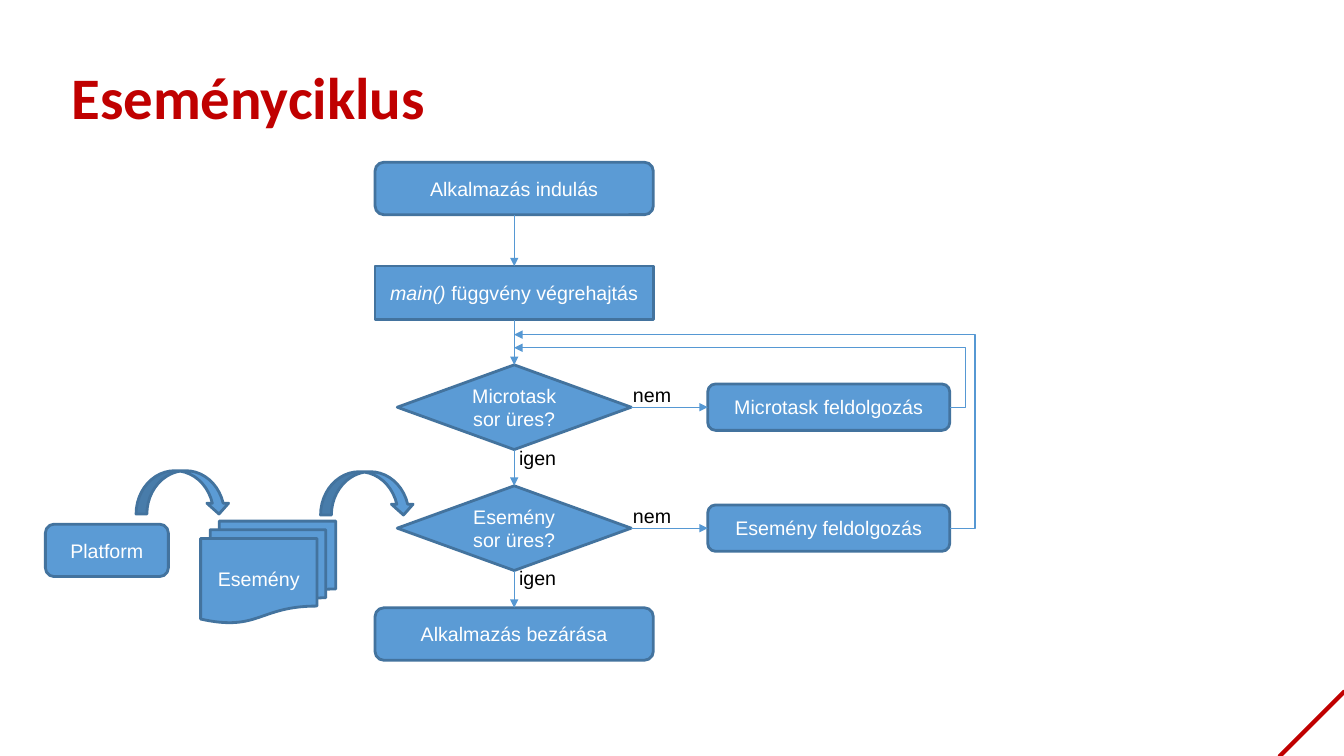
"""Builds the event loop flowchart slide."""
from lxml.etree import SubElement
from pptx import Presentation
from pptx.dml.color import RGBColor
from pptx.enum.shapes import MSO_CONNECTOR as CONNECTOR, MSO_SHAPE as SHAPE
from pptx.enum.text import MSO_ANCHOR as ANCHOR, MSO_AUTO_SIZE as AUTO_SIZE, PP_ALIGN as ALIGN
from pptx.oxml.ns import qn
from pptx.util import Emu, Pt

PX = 9144
WIDTH, HEIGHT = 1333, 750
COLORS = {"red": "C00000", "fill": "5B9BD5", "border": "43739E",
          "arrow": "5698D3", "white": "FFFFFF", "black": "000000"}

TITLE = ("Eseményciklus", (61, 63, 660, 58))
CORNER = (1288, 705, 90, 90)
AXIS = 510
STEPS = {
    "start": (SHAPE.ROUNDED_RECTANGLE, 161, 276, 52, [("Alkalmazás indulás", False)]),
    "main": (SHAPE.RECTANGLE, 264, 276, 53, [("main()", True), (" függvény végrehajtás", False)]),
    "microtask": (SHAPE.DIAMOND, 362, 232, 84, [("Microtask sor üres?", False)]),
    "event": (SHAPE.DIAMOND, 482, 232, 84, [("Esemény sor üres?", False)]),
    "close": (SHAPE.ROUNDED_RECTANGLE, 603, 276, 52, [("Alkalmazás bezárása", False)]),
}
HANDLER_LEFT, HANDLER_WIDTH, HANDLER_HEIGHT = 702, 240, 46
HANDLERS = [
    ("microtask", "Microtask feldolgozás", 345, 958),
    ("event", "Esemény feldolgozás", 332, 967),
]
NO, YES = "nem", "igen"
SOURCES = [
    (SHAPE.FLOWCHART_MULTIDOCUMENT, (199, 517, 134, 101), "Esemény"),
    (SHAPE.CURVED_DOWN_ARROW, (318, 468, 93, 43), ""),
    (SHAPE.CURVED_DOWN_ARROW, (135, 467, 93, 43), ""),
    (SHAPE.ROUNDED_RECTANGLE, (45, 520, 122, 52), "Platform"),
]
TOP, LEFT, BOTTOM, RIGHT = range(4)

prs = Presentation()
prs.slide_width, prs.slide_height = Emu(WIDTH * PX), Emu(HEIGHT * PX)
shapes = prs.slides.add_slide(prs.slide_layouts[6]).shapes


def emu(lengths):
    return [Emu(length * PX) for length in lengths]


def rgb(name):
    return RGBColor.from_string(COLORS[name])


def write(frame, runs, size=14, font="Arial", color="white", bold=False,
          align=ALIGN.CENTER, anchor=ANCHOR.MIDDLE):
    frame.word_wrap = True
    frame.vertical_anchor = anchor
    paragraph = frame.paragraphs[0]
    paragraph.alignment = align
    for text, italic in runs:
        run = paragraph.add_run()
        run.text = text
        run.font.name, run.font.size = font, Pt(size)
        run.font.bold, run.font.italic = bold, italic
        run.font.color.rgb = rgb(color)
    return paragraph


def add_block(kind, box, runs=()):
    block = shapes.add_shape(kind, *emu(box))
    block.shadow.inherit = False
    block.fill.solid()
    block.fill.fore_color.rgb = rgb("fill")
    block.line.color.rgb = rgb("border")
    block.line.width = Pt(2)
    if runs:
        write(block.text_frame, runs)
    return block


def add_label(text, left, top):
    label = shapes.add_textbox(*emu((left, top, 60, 34))).text_frame
    write(label, [(text, False)], color="black", align=ALIGN.LEFT, anchor=ANCHOR.TOP)
    label.auto_size = AUTO_SIZE.SHAPE_TO_FIT_TEXT


def add_arrow(kind, start, end):
    arrow = shapes.add_connector(kind, *emu(start + end))
    arrow.line.color.rgb = rgb("arrow")
    arrow.line.width = Pt(0.75)
    SubElement(arrow.line._get_or_add_ln(), qn("a:tailEnd"), type="triangle")
    SubElement(arrow._element.spPr, qn("a:effectLst"))
    return arrow


def join(first, first_site, second, second_site):
    arrow = add_arrow(CONNECTOR.STRAIGHT, (0, 0), (0, 0))
    arrow.begin_connect(first, first_site)
    arrow.end_connect(second, second_site)


def add_return(handler, start, end, turn):
    arrow = add_arrow(CONNECTOR.ELBOW, start, end)
    arrow.begin_connect(handler, RIGHT)
    bend = round((start[0] - turn) / (start[0] - end[0]) * 100000)
    guides = arrow._element.spPr.find(qn("a:prstGeom")).get_or_add_avLst()
    SubElement(guides, qn("a:gd"), name="adj1", fmla=f"val {bend}")


corner = shapes.add_shape(SHAPE.RECTANGLE, *emu(CORNER))
corner.rotation = 45
corner.shadow.inherit = False
corner.fill.background()
corner.line.color.rgb = rgb("red")
corner.line.width = Pt(3)

title_text, title_box = TITLE
title = write(shapes.add_textbox(*emu(title_box)).text_frame, [(title_text, False)], size=42,
              font="Calibri", color="red", bold=True, align=ALIGN.LEFT, anchor=ANCHOR.TOP)
title.line_spacing = 0.9
title.space_before = Pt(10)

steps = {name: add_block(kind, (AXIS - width // 2, top, width, height), runs)
         for name, (kind, top, width, height, runs) in STEPS.items()}
sequence = list(steps.values())
for upper, lower in zip(sequence, sequence[1:]):
    join(upper, BOTTOM, lower, TOP)

for name, text, return_y, turn_x in HANDLERS:
    _, top, width, height, _ = STEPS[name]
    middle = top + height // 2
    handler = add_block(SHAPE.ROUNDED_RECTANGLE,
                        (HANDLER_LEFT, middle - HANDLER_HEIGHT // 2, HANDLER_WIDTH, HANDLER_HEIGHT),
                        [(text, False)])
    join(steps[name], RIGHT, handler, LEFT)
    add_return(handler, (HANDLER_LEFT + HANDLER_WIDTH, middle), (AXIS, return_y), turn_x)
    add_label(NO, AXIS + width // 2 - 8, middle - 29)
    add_label(YES, AXIS - 5, top + height - 9)

for kind, box, text in SOURCES:
    add_block(kind, box, [(text, False)] if text else ())

prs.save("out.pptx")
